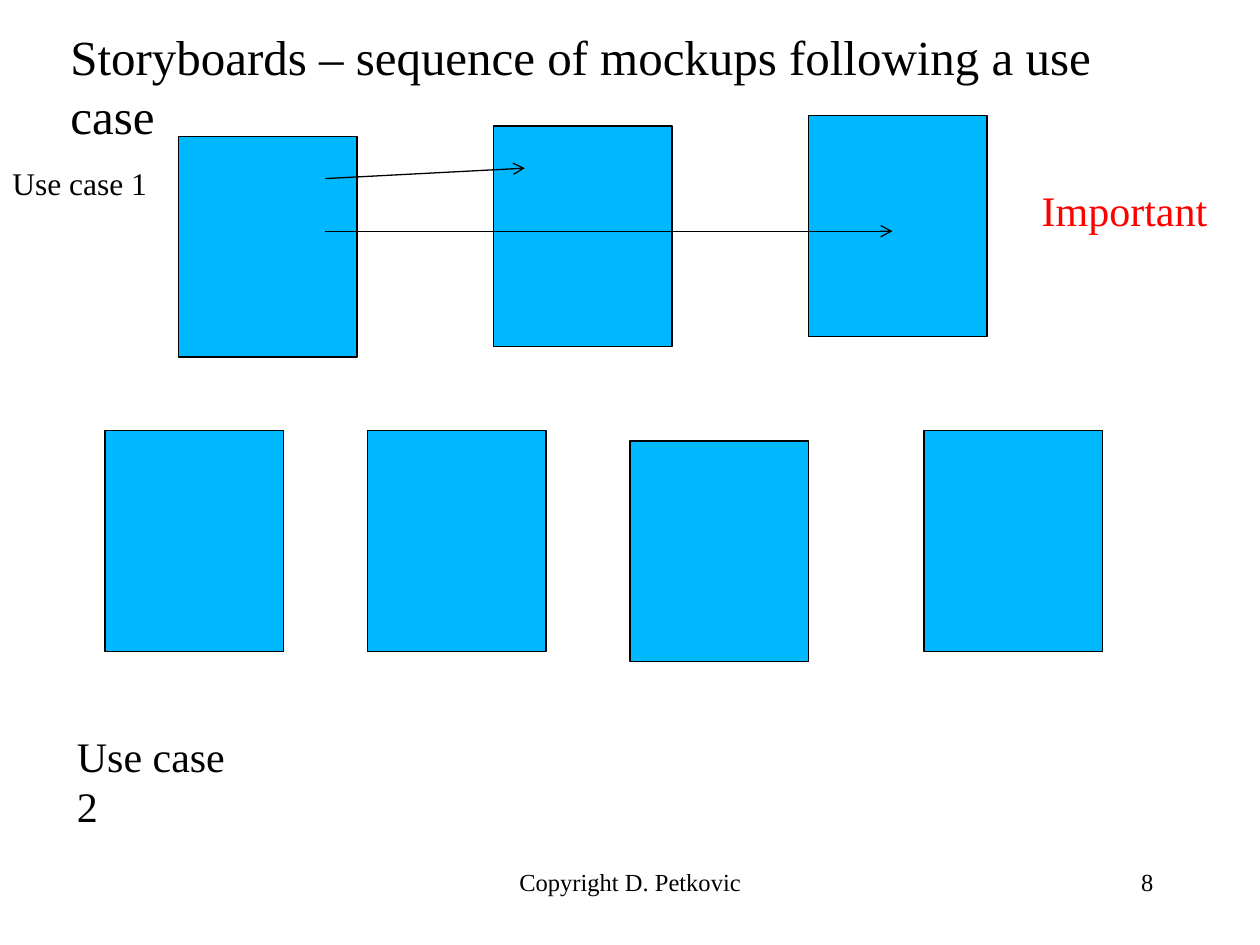
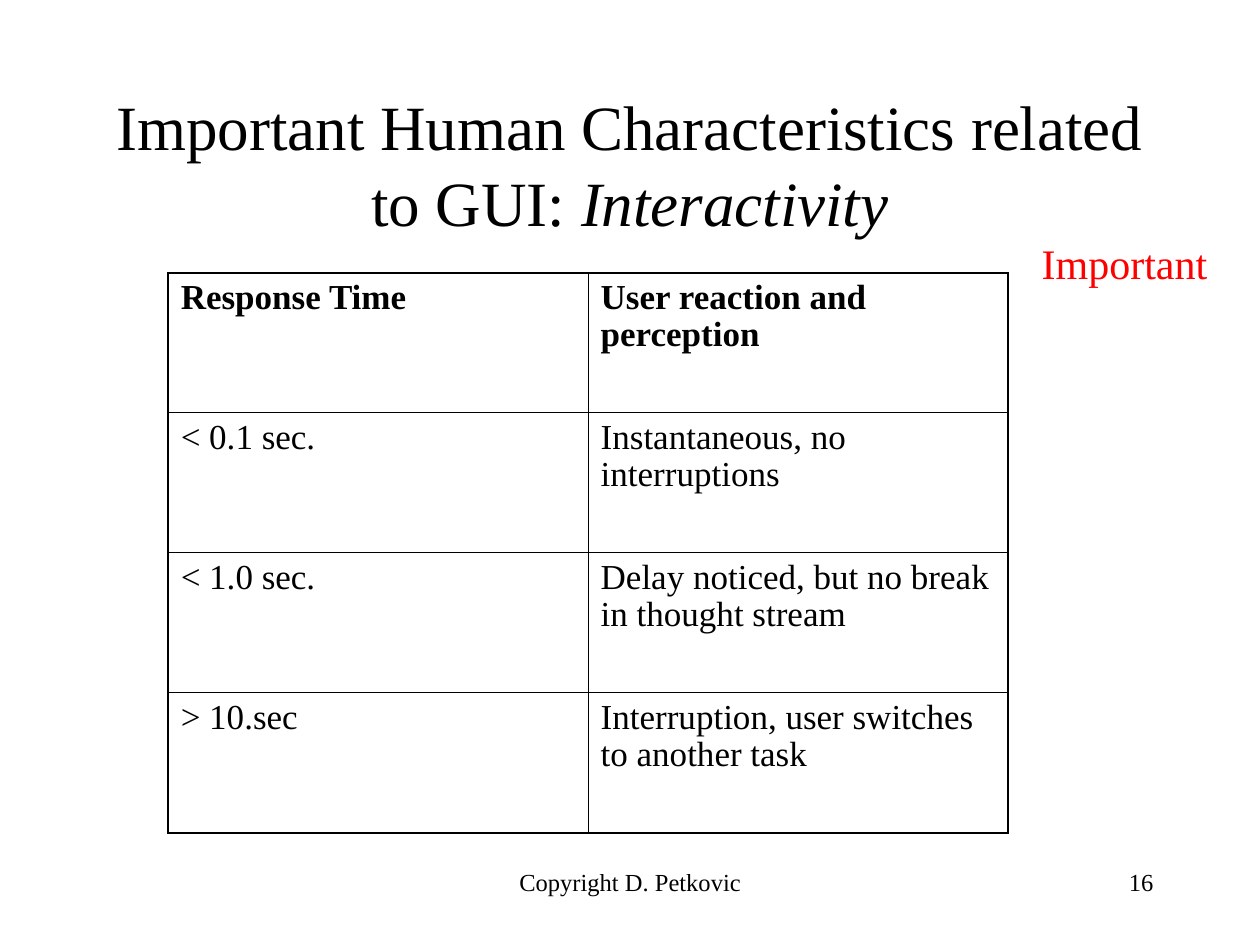
from lxml import etree
from pptx import Presentation
from pptx.dml.color import RGBColor
from pptx.enum.shapes import MSO_CONNECTOR, MSO_SHAPE
from pptx.enum.text import MSO_ANCHOR, PP_ALIGN
from pptx.oxml.ns import qn
from pptx.util import Cm, Pt

LEFT, CENTER, RIGHT = PP_ALIGN.LEFT, PP_ALIGN.CENTER, PP_ALIGN.RIGHT
TOP, MIDDLE = MSO_ANCHOR.TOP, MSO_ANCHOR.MIDDLE
RECTANGLE = MSO_SHAPE.RECTANGLE
STRAIGHT = MSO_CONNECTOR.STRAIGHT

COLOURS = {"ink": "000000", "mockup": "00B8FF", "important": "FF0000", "paper": "FFFFFF"}
FONT = "Times New Roman"
MOCKUP_WIDTH, MOCKUP_HEIGHT = 3.6, 4.45
THIN, THICK = 0.45, 1.08


def colour(name):
    return RGBColor.from_string(COLOURS[name])


def format_runs(paragraph, size, ink="ink", bold=False):
    for run in paragraph.runs:
        run.font.name = FONT
        run.font.size = Pt(size)
        run.font.bold = bold
        run.font.color.rgb = colour(ink)


def add_text(slide, box, text, size, align=LEFT, ink="ink", wrap=True, anchor=TOP, italic_end=""):
    """Place one paragraph in a box (left, top, width, height in cm)."""
    shape = slide.shapes.add_textbox(*map(Cm, box))
    text_frame = shape.text_frame
    text_frame.word_wrap = wrap
    text_frame.vertical_anchor = anchor
    paragraph = text_frame.paragraphs[0]
    paragraph.text = text
    paragraph.alignment = align
    if italic_end:
        run = paragraph.add_run()
        run.text = italic_end
        run.font.italic = True
    format_runs(paragraph, size, ink)


def add_base_slide(presentation, number, important_top):
    """Start a slide with the shared footer, number and red remark."""
    slide = presentation.slides.add_slide(presentation.slide_layouts[6])
    slide.background.fill.solid()
    slide.background.fill.fore_color.rgb = colour("paper")
    add_text(slide, (8.68, 17.36, 8.05, 1.27), "Copyright D. Petkovic", 14, CENTER)
    add_text(slide, (18.2, 17.36, 5.3, 1.27), str(number), 14, RIGHT)
    add_text(slide, (20.75, important_top, 3.84, 1.27), "Important", 24,
             ink="important", wrap=False)
    return slide


def add_mockups(slide, left, top, offsets):
    """Draw a row of screens, each offset from the row's corner."""
    for across, down in offsets:
        shape = slide.shapes.add_shape(RECTANGLE, Cm(left + across), Cm(top + down),
                                       Cm(MOCKUP_WIDTH), Cm(MOCKUP_HEIGHT))
        shape.shadow.inherit = False
        shape.fill.solid()
        shape.fill.fore_color.rgb = colour("mockup")
        shape.line.color.rgb = colour("ink")
        shape.line.width = Pt(0.75)


def add_arrow(slide, start, end):
    connector = slide.shapes.add_connector(STRAIGHT, *map(Cm, start + end))
    connector.line.color.rgb = colour("ink")
    connector.line.width = Pt(0.75)
    line = connector.line._get_or_add_ln()
    etree.SubElement(line, qn("a:tailEnd"), type="arrow")
    etree.SubElement(connector._element.spPr, qn("a:effectLst"))


def set_borders(cell, widths):
    """Draw the left, right, top and bottom borders, in that order."""
    properties = cell._tc.get_or_add_tcPr()
    for index, (side, width) in enumerate(zip("LRTB", widths)):
        line = etree.Element(qn(f"a:ln{side}"), w=str(Pt(width)))
        fill = etree.SubElement(line, qn("a:solidFill"))
        etree.SubElement(fill, qn("a:srgbClr"), val=COLOURS["ink"])
        properties.insert(index, line)


def add_response_table(slide, box, rows):
    row_count, column_count = len(rows), len(rows[0])
    table = slide.shapes.add_table(row_count, column_count, *map(Cm, box)).table
    table.first_row = table.horz_banding = False
    for row, texts in enumerate(rows):
        for column, text in enumerate(texts):
            cell = table.cell(row, column)
            cell.fill.background()
            at_edges = (column == 0, column == column_count - 1, row == 0, row == row_count - 1)
            set_borders(cell, [THICK if at_edge else THIN for at_edge in at_edges])
            cell.text_frame.text = text
            paragraph = cell.text_frame.paragraphs[0]
            paragraph.space_before = Pt(5)
            paragraph.line_spacing = 0.97
            format_runs(paragraph, 20, bold=row == 0)


def build_storyboards(presentation):
    slide = add_base_slide(presentation, 8, 3.6)
    add_text(slide, (1.17, 0.42, 23, 1.45),
             "Storyboards – sequence of mockups following a use case", 28, wrap=False)

    # Use case 1: three screens in rising steps, joined from the first one
    left, top = 3.6, 2.75
    add_text(slide, (0, 3.18, 3.39, 1.02), "Use case 1", 18)
    add_mockups(slide, left, top, [(6.35 * step, -0.21 * step) for step in range(3)])
    add_arrow(slide, (left + 2.96, top + 0.85), (left + 6.98, top + 0.64))
    add_arrow(slide, (left + 2.96, top + 1.91), (left + 14.39, top + 1.91))

    # Use case 2: four screens
    add_mockups(slide, 2.12, 8.68, [(0, 0), (5.29, 0), (10.58, 0.21), (16.51, 0)])
    add_text(slide, (1.3, 14.6, 4.11, 2.29), "Use case 2", 24, wrap=False)


def build_interactivity(presentation):
    slide = add_base_slide(presentation, 16, 4.66)
    add_text(slide, (1.9, 1.7, 21.6, 3.18),
             "Important Human Characteristics related to GUI: ", 36, CENTER,
             anchor=MIDDLE, italic_end="Interactivity")
    add_response_table(slide, (3.39, 5.5, 16.93, 11.29), [
        ("Response Time", "User reaction and perception"),
        ("< 0.1 sec.", "Instantaneous, no interruptions"),
        ("< 1.0 sec.", "Delay noticed, but no break in thought stream"),
        ("> 10.sec", "Interruption, user switches to another task"),
    ])


def main():
    presentation = Presentation()
    presentation.slide_width, presentation.slide_height = Cm(25.4), Cm(19.05)
    build_storyboards(presentation)
    build_interactivity(presentation)
    presentation.save("out.pptx")


if __name__ == "__main__":
    main()
